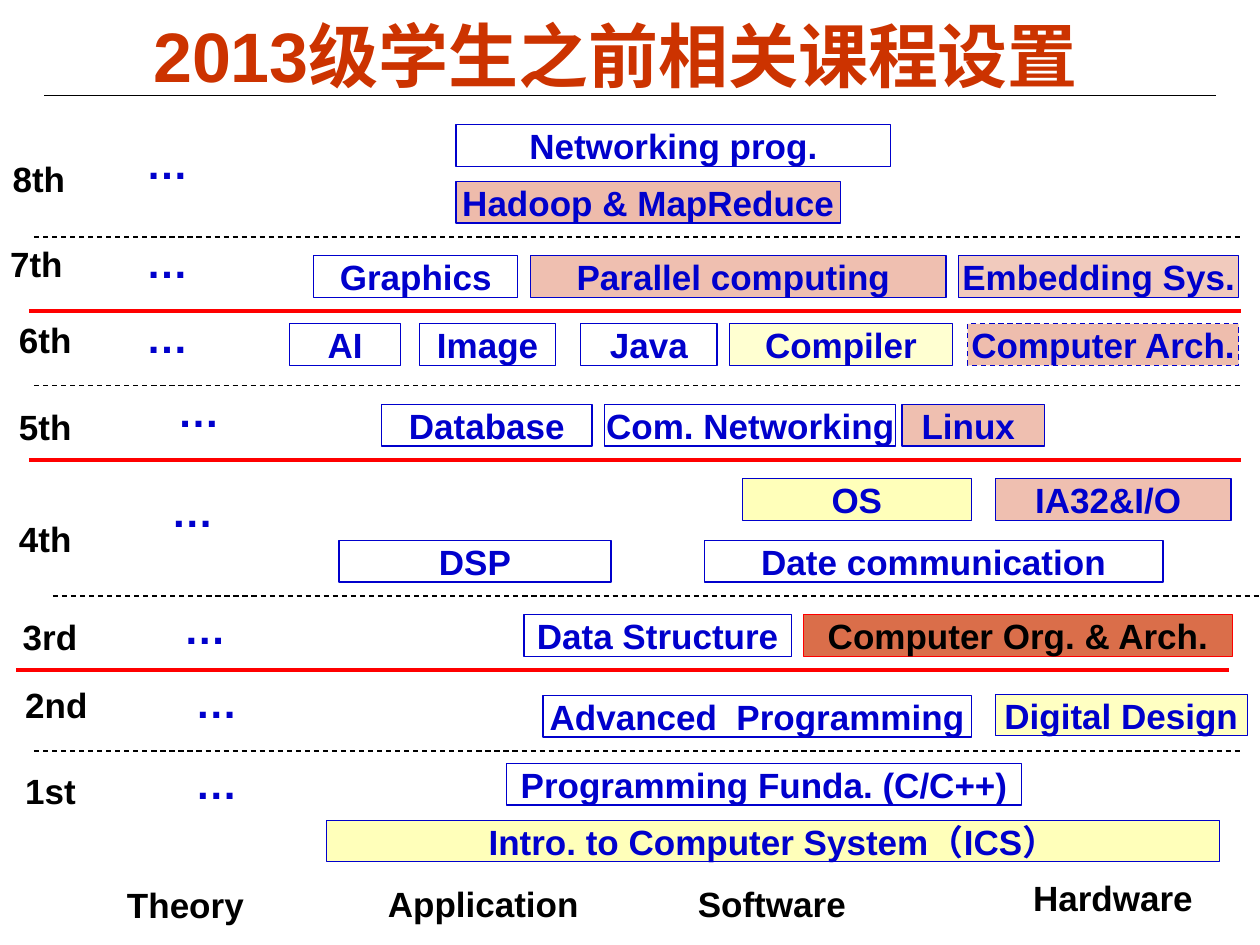
from lxml.etree import SubElement
from pptx import Presentation
from pptx.dml.color import RGBColor
from pptx.enum.dml import MSO_LINE
from pptx.enum.shapes import MSO_CONNECTOR, MSO_SHAPE
from pptx.enum.text import MSO_ANCHOR, PP_ALIGN
from pptx.oxml.ns import qn
from pptx.util import Inches, Pt

COLORS = {
    "black": "000000",
    "blue": "0000CC",
    "red": "FF0000",
    "rust": "CC3300",
    "yellow": "FFFF00",
}
ROW_HEIGHT = 0.33


def rgb(name):
    return RGBColor.from_string(COLORS[name])


def write(text, box, size=20, color="black", align=PP_ALIGN.LEFT, inset=(0, 0), wrap=True):
    frame = box.text_frame
    frame.word_wrap = wrap
    frame.vertical_anchor = MSO_ANCHOR.MIDDLE
    frame.margin_left = frame.margin_right = Inches(inset[0])
    frame.margin_top = frame.margin_bottom = Inches(inset[1])
    paragraph = frame.paragraphs[0]
    paragraph.alignment = align
    run = paragraph.add_run()
    run.text = text
    run.font.name = "Arial"
    run.font.size = Pt(size)
    run.font.bold = True
    run.font.color.rgb = rgb(color)


prs = Presentation()
prs.slide_width, prs.slide_height = Inches(10), Inches(7.5)
slide = prs.slides.add_slide(prs.slide_layouts[6])
shapes = slide.shapes

title = shapes.add_textbox(Inches(0), Inches(0.13), Inches(9.77), Inches(0.61))
write("2013级学生之前相关课程设置", title, size=40, color="rust",
      align=PP_ALIGN.CENTER, inset=(0.1, 0.05))

dividers = [
    (0.35, 9.65, 0.76, "black", 0.75, None),
    (0.27, 9.85, 1.88, "black", 0.75, MSO_LINE.DASH),
    (0.23, 9.85, 2.47, "red", 2.25, None),
    (0.27, 9.85, 3.06, "black", 0.75, MSO_LINE.DASH),
    (0.23, 9.85, 3.65, "red", 2.25, None),
    (0.42, 10, 4.73, "black", 0.75, MSO_LINE.DASH),
    (0.13, 9.75, 5.32, "red", 2.25, None),
    (0.27, 9.85, 5.96, "black", 0.75, MSO_LINE.DASH),
]
for start, end, y, color, weight, dash in dividers:
    divider = shapes.add_connector(
        MSO_CONNECTOR.STRAIGHT, Inches(start), Inches(y), Inches(end), Inches(y))
    divider.line.color.rgb = rgb(color)
    divider.line.width = Pt(weight)
    if dash:
        divider.line.dash_style = dash
    SubElement(divider._element.spPr, qn("a:effectLst"))

semesters = [
    ("8th", 0.1, 1.25, 1.16, 1.09),
    ("7th", 0.08, 1.93, 1.16, 1.88),
    ("6th", 0.15, 2.53, 1.16, 2.47),
    ("5th", 0.15, 3.22, 1.41, 3.06),
    ("4th", 0.15, 4.11, 1.36, 3.85),
    ("3rd", 0.18, 4.89, 1.46, 4.78),
    ("2nd", 0.2, 5.43, 1.55, 5.37),
    ("1st", 0.2, 6.11, 1.55, 6.01),
]
for name, x, y, theory_x, theory_y in semesters:
    semester = shapes.add_textbox(Inches(x), Inches(y), Inches(0.62), Inches(ROW_HEIGHT))
    write(name, semester)
    theory = shapes.add_textbox(Inches(theory_x), Inches(theory_y), Inches(0.64), Inches(0.4))
    write("…", theory, size=24, color="blue")

tracks = [
    ("Theory", 0.91, 6.96, 1.33),
    ("Application", 2.98, 6.95, 1.97),
    ("Software", 5.44, 6.95, 1.43),
    ("Hardware", 8.1, 6.9, 1.58),
]
for name, x, y, width in tracks:
    track = shapes.add_textbox(Inches(x), Inches(y), Inches(width), Inches(0.44))
    write(name, track, inset=(0.1, 0.05))

courses = [
    ("Networking prog.", 3.62, 0.99, 3.45, None, 0),
    ("Hadoop & MapReduce", 3.62, 1.44, 3.05, "rust", 33),
    ("Graphics", 2.49, 2.03, 1.62, None, 0),
    ("Parallel computing ", 4.21, 2.03, 3.3, "rust", 31),
    ("Embedding Sys.", 7.61, 2.03, 2.22, "rust", 26),
    ("AI", 2.3, 2.57, 0.88, None, 0),
    ("Image", 3.33, 2.57, 1.08, None, 0),
    ("Java", 4.61, 2.57, 1.08, None, 0),
    ("Compiler", 5.79, 2.57, 1.77, "yellow", 18),
    ("Computer Arch.", 7.68, 2.57, 2.15, "rust", 32),
    ("Database", 3.03, 3.21, 1.67, None, 0),
    ("Com. Networking", 4.8, 3.21, 2.31, None, 0),
    ("Linux ", 7.16, 3.21, 1.13, "rust", 31),
    ("OS", 5.89, 3.8, 1.82, "yellow", 27),
    ("IA32&I/O ", 7.9, 3.8, 1.87, "rust", 31),
    ("DSP", 2.69, 4.29, 2.16, None, 0),
    ("Date communication", 5.59, 4.29, 3.64, None, 0),
    ("Data Structure", 4.16, 4.88, 2.12, None, 0),
    ("Computer Org. & Arch.", 6.38, 4.88, 3.4, "rust", 71),
    ("Advanced  Programming", 4.31, 5.52, 3.4, None, 0),
    ("Digital Design", 7.9, 5.51, 2, "yellow", 24),
    ("Programming Funda. (C/C++)", 4.02, 6.06, 4.09, None, 0),
    ("Intro. to Computer System（ICS）", 2.59, 6.51, 7.09, "yellow", 27),
]
for name, x, y, width, fill, opacity in courses:
    is_focus = name == "Computer Org. & Arch."
    course = shapes.add_shape(
        MSO_SHAPE.RECTANGLE, Inches(x), Inches(y), Inches(width), Inches(ROW_HEIGHT))
    course.shadow.inherit = False
    if fill:
        course.fill.solid()
        course.fill.fore_color.rgb = rgb(fill)
        tint = course._element.spPr.find(qn("a:solidFill")).find(qn("a:srgbClr"))
        SubElement(tint, qn("a:alpha"), val=str(opacity * 1000))
    else:
        course.fill.background()
    course.line.color.rgb = rgb("red" if is_focus else "blue")
    course.line.width = Pt(0.75)
    if name == "Computer Arch.":
        course.line.dash_style = MSO_LINE.DASH
    write(name, course, color="black" if is_focus else "blue",
          align=PP_ALIGN.CENTER, wrap=False)

prs.save("out.pptx")
